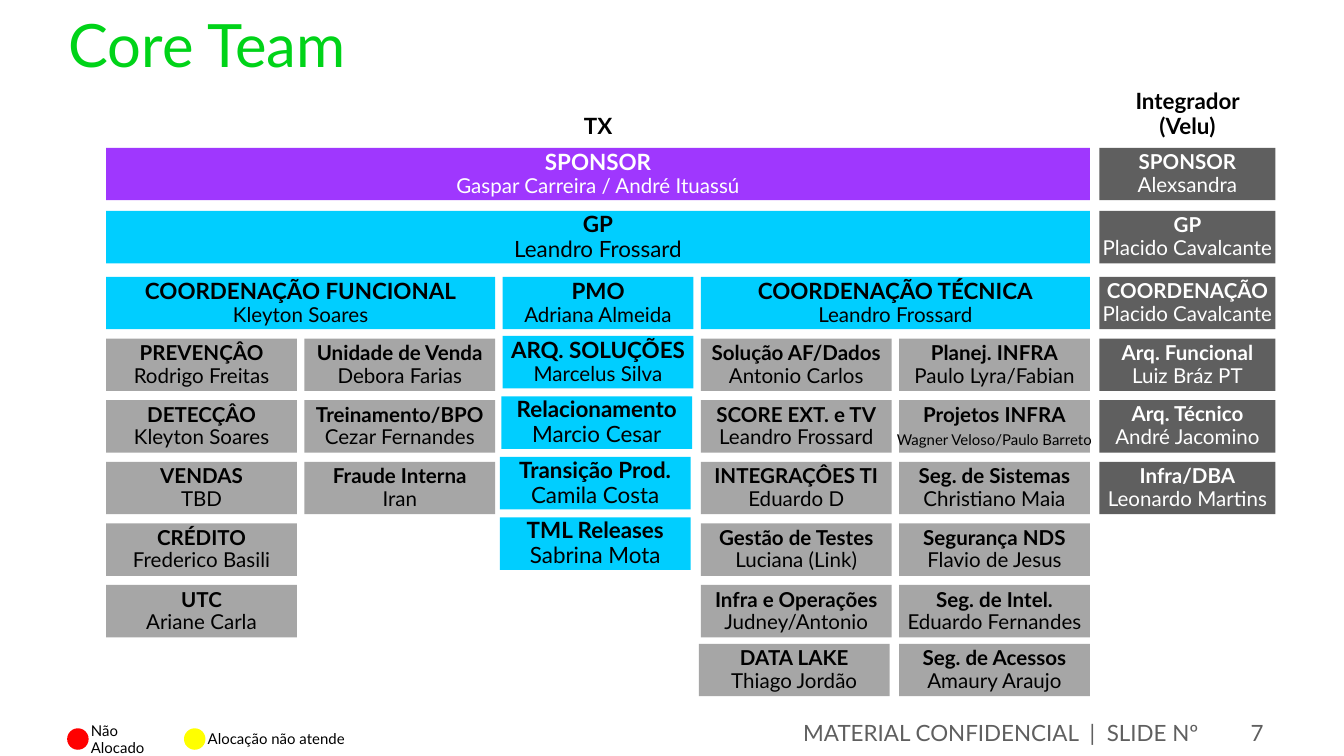
from pptx import Presentation
from pptx.dml.color import RGBColor
from pptx.enum.shapes import MSO_SHAPE
from pptx.enum.text import MSO_ANCHOR, PP_ALIGN
from pptx.util import Pt

RECT, OVAL = MSO_SHAPE.RECTANGLE, MSO_SHAPE.OVAL
LEFT, CENTER, RIGHT = PP_ALIGN.LEFT, PP_ALIGN.CENTER, PP_ALIGN.RIGHT
TOP, MIDDLE, BOTTOM = MSO_ANCHOR.TOP, MSO_ANCHOR.MIDDLE, MSO_ANCHOR.BOTTOM

FONT = "Lato"
COLORS = {
    "green": "00D318", "purple": "9F37FE", "cyan": "00CEFF",
    "gray": "A6A6A6", "dark": "5F5F5F", "black": "000000",
    "white": "FFFFFF", "red": "FF0000", "yellow": "FFFF00",
}

# Grid in points
X0, COL_PITCH, BOX_W, BOX_H = 56.9, 106.2, 102.2, 28.1
PARTNER_X, PARTNER_W = 589, 94.3
SPONSOR_Y, GP_Y, COORD_Y = 79.2, 113, 148.3
TEAM_Y, TEAM_PITCH, LAST_Y = 181.4, 33, 344.9
PMO_Y, PMO_PITCH = 180, 32.4
HEADING_Y, HEADING_H = 55.4, 23
LEADING = 0.93

# Grid column -> (role, name) from top to bottom
TEAMS = {
    0: [("PREVENÇÂO", "Rodrigo Freitas"), ("DETECÇÂO", "Kleyton Soares"),
        ("VENDAS", "TBD"), ("CRÉDITO", "Frederico Basili"),
        ("UTC", "Ariane Carla")],
    1: [("Unidade de Venda", "Debora Farias"),
        ("Treinamento/BPO", "Cezar Fernandes"), ("Fraude Interna", "Iran")],
    3: [("Solução AF/Dados", "Antonio Carlos"),
        ("SCORE EXT. e TV", "Leandro Frossard"),
        ("INTEGRAÇÔES TI", "Eduardo D"), ("Gestão de Testes", "Luciana (Link)"),
        ("Infra e Operações", "Judney/Antonio")],
    4: [("Planej. INFRA", "Paulo Lyra/Fabian"),
        ("Projetos INFRA", "Wagner Veloso/Paulo Barreto"),
        ("Seg. de Sistemas", "Christiano Maia"),
        ("Segurança NDS", "Flavio de Jesus"),
        ("Seg. de Intel.", "Eduardo Fernandes")],
}
# Left edge, role, name, name size
PMO_TEAM = [
    (269.3, "ARQ. SOLUÇÕES", "Marcelus Silva", 11),
    (268.6, "Relacionamento", "Marcio Cesar", 12),
    (267.8, "Transição Prod.", "Camila Costa", 12),
    (267.8, "TML Releases", "Sabrina Mota", 12),
]
PARTNER_LEADS = [
    (SPONSOR_Y, "SPONSOR", "Alexsandra"),
    (GP_Y, "GP", "Placido Cavalcante"),
    (COORD_Y, "COORDENAÇÃO", "Placido Cavalcante"),
]
PARTNER_TEAM = [("Arq. Funcional", "Luiz Bráz PT"),
                ("Arq. Técnico", "André Jacomino"),
                ("Infra/DBA", "Leonardo Martins")]


def rgb(name):
    return RGBColor.from_string(COLORS[name])


def col_x(col):
    return X0 + col * COL_PITCH


def span_w(cols):
    return (cols - 1) * COL_PITCH + BOX_W


def set_frame(tf, anchor, insets, wrap):
    tf.word_wrap = wrap
    tf.vertical_anchor = anchor
    tf.margin_left = tf.margin_right = Pt(insets[0])
    tf.margin_top = tf.margin_bottom = Pt(insets[1])


def write(p, text, *, size, color="black", bold=False, align=CENTER, leading=None):
    p.alignment = align
    if leading:
        p.line_spacing = leading
    r = p.add_run()
    r.text = text
    r.font.name = FONT
    r.font.size = Pt(size)
    r.font.bold = bold
    r.font.color.rgb = rgb(color)


def add_label(s, x, y, w, h, text, *, anchor=MIDDLE, insets=(2.9, 0), wrap=False, **fmt):
    tf = s.shapes.add_textbox(Pt(x), Pt(y), Pt(w), Pt(h)).text_frame
    set_frame(tf, anchor, insets, wrap)
    write(tf.paragraphs[0], text, **fmt)


def add_filled(s, kind, x, y, w, h, fill):
    sp = s.shapes.add_shape(kind, Pt(x), Pt(y), Pt(w), Pt(h))
    sp.shadow.inherit = False
    sp.fill.solid()
    sp.fill.fore_color.rgb = rgb(fill)
    sp.line.fill.background()
    return sp


def add_role(s, x, y, role, name, *, w=BOX_W, fill="cyan", color="black",
             size=12, name_size=11, inset_y=3.6, leading=LEADING):
    tf = add_filled(s, RECT, x, y, w, BOX_H, fill).text_frame
    set_frame(tf, MIDDLE, (2.9, inset_y), False)
    write(tf.paragraphs[0], role, size=size, color=color, bold=True, leading=leading)
    write(tf.add_paragraph(), name, size=name_size, color=color, leading=leading)


def add_member(s, x, y, role, name):
    name_size = 8 if len(name) > 20 else 11
    add_role(s, x, y, role, name, fill="gray", size=11, name_size=name_size,
             inset_y=0, leading=Pt(12))


def add_partner(s, y, role, name):
    add_role(s, PARTNER_X, y, role, name, w=PARTNER_W, fill="dark",
             color="white", size=11)


def add_legend(s, x, color, text, w):
    add_filled(s, OVAL, x, 390.2, 11.5, 11.5, color)
    add_label(s, x + 9.8, 387.4, w, 18, text, size=8, align=LEFT, leading=LEADING)


def main():
    prs = Presentation()
    prs.slide_width, prs.slide_height = Pt(720), Pt(405)
    s = prs.slides.add_slide(prs.slide_layouts[6])

    # Title and column headings
    add_label(s, 36.7, 4.3, 646.6, 56.2, "Core Team", anchor=TOP, insets=(0, 0),
              wrap=True, size=32, color="green", align=LEFT)
    for x, w, text in ((X0, span_w(5), "TX"),
                       (PARTNER_X, PARTNER_W, "Integrador (Velu)")):
        add_label(s, x, HEADING_Y, w, HEADING_H, text, anchor=BOTTOM,
                  insets=(2.9, 3.6), size=12, bold=True, leading=LEADING)

    # Leadership bars
    add_role(s, X0, SPONSOR_Y, "SPONSOR", "Gaspar Carreira / André Ituassú",
             w=span_w(5), fill="purple", color="white")
    add_role(s, X0, GP_Y, "GP", "Leandro Frossard", w=span_w(5), name_size=12)
    for col, cols, role, name in (
            (0, 2, "COORDENAÇÃO FUNCIONAL", "Kleyton Soares"),
            (2, 1, "PMO", "Adriana Almeida"),
            (3, 2, "COORDENAÇÃO TÉCNICA", "Leandro Frossard")):
        add_role(s, col_x(col), COORD_Y, role, name, w=span_w(cols))

    # Teams below the coordinators
    for col, members in TEAMS.items():
        for i, (role, name) in enumerate(members):
            add_member(s, col_x(col), TEAM_Y + i * TEAM_PITCH, role, name)
    add_member(s, 374.4, LAST_Y, "DATA LAKE", "Thiago Jordão")
    add_member(s, col_x(4), LAST_Y, "Seg. de Acessos", "Amaury Araujo")
    for i, (x, role, name, name_size) in enumerate(PMO_TEAM):
        add_role(s, x, PMO_Y + i * PMO_PITCH, role, name, name_size=name_size)

    # Integrator column
    for y, role, name in PARTNER_LEADS:
        add_partner(s, y, role, name)
    for i, (role, name) in enumerate(PARTNER_TEAM):
        add_partner(s, TEAM_Y + i * TEAM_PITCH, role, name)

    # Legend and footer
    add_legend(s, 36, "red", "Não Alocado", 50.4)
    add_legend(s, 98.6, "yellow", "Alocação não atende", 87.1)
    for x, w, text in ((36, 613.4, "MATERIAL CONFIDENCIAL  |  SLIDE Nº"),
                       (649.4, 34.6, "7")):
        add_label(s, x, 383.8, w, 17.3, text, insets=(7.2, 3.6), wrap=True,
                  size=12, color="dark", align=RIGHT)

    prs.save("out.pptx")


if __name__ == "__main__":
    main()
